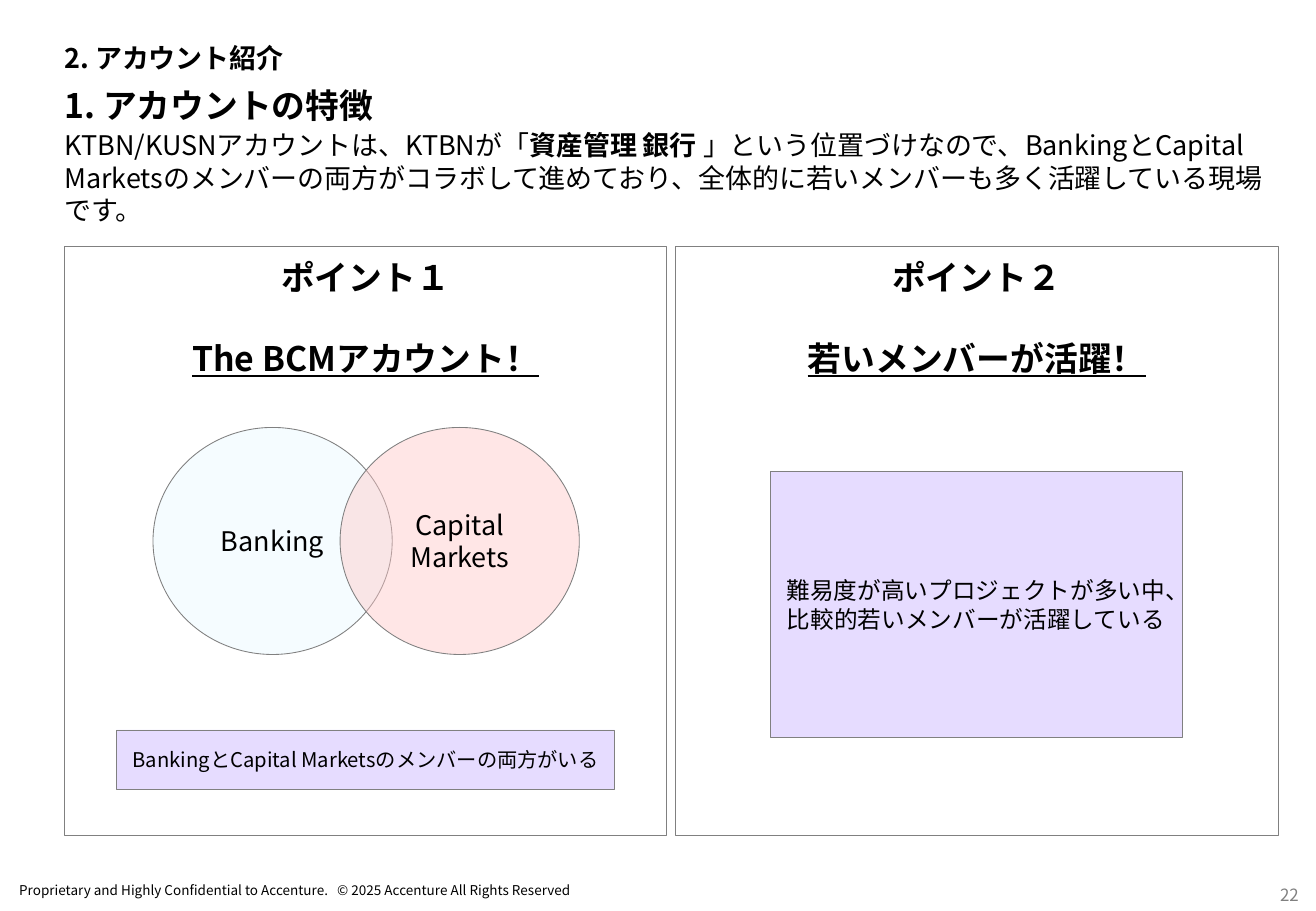
"""Build the account features slide with two point panels."""
from lxml import etree
from pptx import Presentation
from pptx.dml.color import RGBColor
from pptx.enum.shapes import MSO_SHAPE
from pptx.enum.text import MSO_ANCHOR, PP_ALIGN
from pptx.oxml.ns import qn
from pptx.util import Pt

RECT, OVAL = MSO_SHAPE.RECTANGLE, MSO_SHAPE.OVAL
TOP, MID, LOW = MSO_ANCHOR.TOP, MSO_ANCHOR.MIDDLE, MSO_ANCHOR.BOTTOM
LEFT, MIDST = PP_ALIGN.LEFT, PP_ALIGN.CENTER
FACE = "Noto Sans CJK JP"
HUES = {"ink": "000000", "gray": "808080", "white": "FFFFFF",
        "blue": "E8F9FF", "pink": "FFC7C7", "lilac": "E6DCFF"}

deck = Presentation()
deck.slide_width, deck.slide_height = Pt(780), Pt(540)
slide = deck.slides.add_slide(deck.slide_layouts[6])


def write(shape, lines, size, bold=False, anchor=TOP, align=LEFT,
          pad=0, wrap=True, hue="ink"):
    """Fill a shape with lines, each a list of (text, bold) runs or a string."""
    frame = shape.text_frame
    frame.word_wrap, frame.vertical_anchor = wrap, anchor
    frame.margin_left = frame.margin_right = Pt(pad)
    frame.margin_top = frame.margin_bottom = Pt(pad)
    for i, line in enumerate(lines):
        par = frame.add_paragraph() if i else frame.paragraphs[0]
        par.alignment, par.line_spacing = align, Pt(1.2 * size)
        font = par.font
        font.size, font.name = Pt(size), FACE
        font.color.rgb = RGBColor.from_string(HUES[hue])
        base = par._p.find(".//" + qn("a:defRPr"))
        etree.SubElement(base, qn("a:ea"), typeface=FACE)
        if isinstance(line, str):
            font.bold = bold
            par.add_run().text = line
        else:
            for text, strong in line:
                run = par.add_run()
                run.text, run.font.bold = text, strong
    return frame


def draw(kind, box, hue, alpha=None):
    """Add an outlined shape with a plain or see-through fill."""
    shape = slide.shapes.add_shape(kind, *map(Pt, box))
    shape.shadow.inherit = False
    shape.fill.solid()
    shape.fill.fore_color.rgb = RGBColor.from_string(HUES[hue])
    shape.line.color.rgb = RGBColor.from_string(HUES["gray"])
    shape.line.width = Pt(0.5)
    if alpha:
        tint = shape._element.spPr.find(qn("a:solidFill"))[0]
        etree.SubElement(tint, qn("a:alpha"), val=str(alpha * 1000))
    return shape


intro = [("KTBN/KUSNアカウントは、KTBNが「", False), ("資産管理 銀行", True),
         (" 」という位置づけなので、BankingとCapital Marketsのメンバーの両方が"
          "コラボして進めており、全体的に若いメンバーも多く活躍している現場です。", False)]
heads = [
    ((38.2, 14.4, 702.7, 29.5), "2. アカウント紹介", 16, True, LOW),
    ((38.2, 44.6, 702.7, 29.5), "1. アカウントの特徴", 20, True, LOW),
    ((38.2, 76.3, 719.3, 52.6), intro, 16, False, TOP),
]
for box, line, size, bold, anchor in heads:
    write(slide.shapes.add_textbox(*map(Pt, box)), [line], size, bold, anchor)

panels = [("ポイント１", "The BCMアカウント！"), ("ポイント２", "若いメンバーが活躍！")]
for i, lines in enumerate(panels):
    panel = draw(RECT, (38.2 + 362.2 * i, 146.2, 357.1, 349.2), "white")
    frame = write(panel, lines, 20, True, align=MIDST, pad=5.76)
    claim = frame.paragraphs[1]
    claim.space_before, claim.font.underline = Pt(24), True

marks = [
    (OVAL, (90.7, 253.4, 141.8, 134.6), "blue", 43, ["Banking"], 16),
    (OVAL, (201.6, 253.4, 141.8, 134.6), "pink", 43, ["Capital", "Markets"], 16),
    (RECT, (69.1, 432.7, 295.2, 35.3), "lilac", None,
     ["BankingとCapital Marketsのメンバーの両方がいる"], 12),
    (RECT, (456.5, 279.4, 244.1, 157.7), "lilac", None,
     ["難易度が高いプロジェクトが多い中、", "比較的若いメンバーが活躍している"], 14),
]
for kind, box, hue, alpha, lines, size in marks:
    write(draw(kind, box, hue, alpha), lines, size,
          anchor=MID, align=MIDST, pad=5.76)

notice = ("Proprietary and Highly Confidential to Accenture.   "
          "© 2025 Accenture All Rights Reserved")
feet = [((4.3, 519.1, 367.2, 17.3), notice, 8, LEFT, 7.2, "ink"),
        ((753.1, 521.3, 22.3, 18), "22", 10, MIDST, 2.88, "gray")]
for box, line, size, align, pad, hue in feet:
    write(slide.shapes.add_textbox(*map(Pt, box)), [line], size,
          anchor=MID, align=align, pad=pad, wrap=False, hue=hue)

deck.save("out.pptx")
